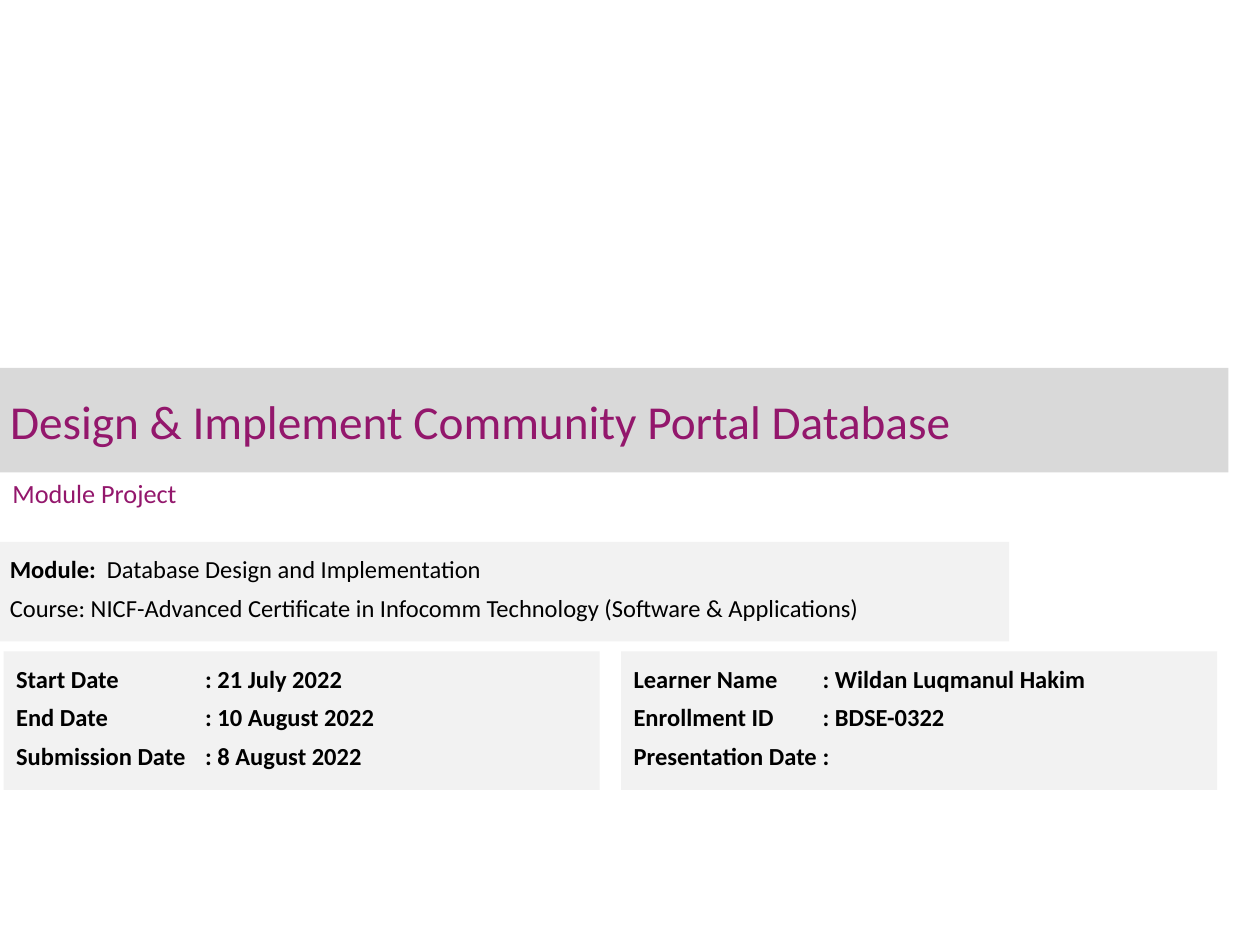
from dataclasses import dataclass

from lxml.etree import SubElement
from pptx import Presentation
from pptx.dml.color import RGBColor
from pptx.enum.shapes import MSO_SHAPE
from pptx.enum.text import MSO_ANCHOR, MSO_AUTO_SIZE, PP_ALIGN
from pptx.oxml.ns import qn
from pptx.util import Inches, Pt


@dataclass(frozen=True)
class Theme:
    font: str = "Calibri"
    accent: RGBColor = RGBColor(0x93, 0x17, 0x6C)
    ink: RGBColor = RGBColor(0, 0, 0)
    band: RGBColor = RGBColor(0xD9, 0xD9, 0xD9)
    panel: RGBColor = RGBColor(0xF2, 0xF2, 0xF2)
    title_size: int = 27
    subtitle_size: int = 15
    body_size: int = 14


THEME = Theme()
WIDTH, HEIGHT = 10, 7.5
PANEL_LEFT, PANEL_TOP = 0.03, 5.17
PANEL_WIDTH, PANEL_HEIGHT = 4.73, 1.1
PANEL_GAP = 0.17
FIELD_TAB, MODULE_TAB = 1.5, 0.77

SCHEDULE = [
    ("Start Date", ": 21 July 2022"),
    ("End Date", ": 10 August 2022"),
    ("Submission Date", ": 8 August 2022"),
]
LEARNER = [
    ("Learner Name", ": Wildan Luqmanul Hakim"),
    ("Enrollment ID", ": BDSE-0322"),
    ("Presentation Date", ":"),
]


def style_run(run, size, color, bold=False):
    run.font.name = THEME.font
    run.font.size = Pt(size)
    run.font.color.rgb = color
    run.font.bold = bold


def set_frame(frame, side, top, bottom, anchor):
    frame.word_wrap = True
    frame.auto_size = MSO_AUTO_SIZE.NONE
    frame.vertical_anchor = anchor
    frame.margin_left = frame.margin_right = Inches(side)
    frame.margin_top, frame.margin_bottom = Inches(top), Inches(bottom)


def set_heading(frame, text, size):
    frame.text = text
    heading = frame.paragraphs[0]
    heading.alignment = PP_ALIGN.LEFT
    style_run(heading.runs[0], size, THEME.accent)


def add_title(slide):
    title = slide.shapes.title
    title.left, title.top = Inches(0), Inches(2.92)
    title.width, title.height = Inches(9.75), Inches(0.83)
    title.fill.solid()
    title.fill.fore_color.rgb = THEME.band
    set_frame(title.text_frame, 0.08, 0.04, 0.04, MSO_ANCHOR.MIDDLE)
    set_heading(title.text_frame, "Design & Implement Community Portal Database",
                THEME.title_size)


def add_subtitle(slide):
    subtitle = slide.shapes.add_textbox(Inches(0), Inches(3.6), Inches(6.42), Inches(0.62))
    set_frame(subtitle.text_frame, 0.1, 0.05, 0.05, MSO_ANCHOR.MIDDLE)
    set_heading(subtitle.text_frame, "Module Project", THEME.subtitle_size)


def add_panel(slide, left, top, width, height):
    panel = slide.shapes.add_shape(MSO_SHAPE.RECTANGLE, Inches(left), Inches(top),
                                   Inches(width), Inches(height))
    panel.shadow.inherit = False
    panel.fill.solid()
    panel.fill.fore_color.rgb = THEME.panel
    panel.line.fill.background()
    set_frame(panel.text_frame, 0.1, 0.08, 0.05, MSO_ANCHOR.TOP)
    return panel.text_frame


def add_line(frame, parts, tab, bold_parts):
    first = not frame.text
    line = frame.paragraphs[0] if first else frame.add_paragraph()
    stops = SubElement(line._p.get_or_add_pPr(), qn("a:tabLst"))
    SubElement(stops, qn("a:tab"), pos=str(Inches(tab)), algn="l")
    line.alignment = PP_ALIGN.LEFT
    line.line_spacing = Pt(18)
    line.space_before = Pt(0 if first else 2)
    line.space_after = Pt(2)
    for index, part in enumerate(parts):
        run = line.add_run()
        run.text = f"\t{part}" if index else part
        style_run(run, THEME.body_size, THEME.ink, index < bold_parts)


def add_module_panel(slide):
    frame = add_panel(slide, -0.02, 4.3, 8.03, 0.79)
    add_line(frame, ["Module:", "Database Design and Implementation"], MODULE_TAB, 1)
    add_line(frame, ["Course: NICF-Advanced Certificate in Infocomm Technology "
                     "(Software & Applications)"], MODULE_TAB, 0)


def add_field_panel(slide, column, fields):
    left = PANEL_LEFT + column * (PANEL_WIDTH + PANEL_GAP)
    frame = add_panel(slide, left, PANEL_TOP, PANEL_WIDTH, PANEL_HEIGHT)
    for field in fields:
        add_line(frame, field, FIELD_TAB, 2)


def main():
    deck = Presentation()
    deck.slide_width, deck.slide_height = Inches(WIDTH), Inches(HEIGHT)
    slide = deck.slides.add_slide(deck.slide_layouts[5])
    add_title(slide)
    add_subtitle(slide)
    add_module_panel(slide)
    for column, fields in enumerate([SCHEDULE, LEARNER]):
        add_field_panel(slide, column, fields)
    deck.save("out.pptx")


if __name__ == "__main__":
    main()
